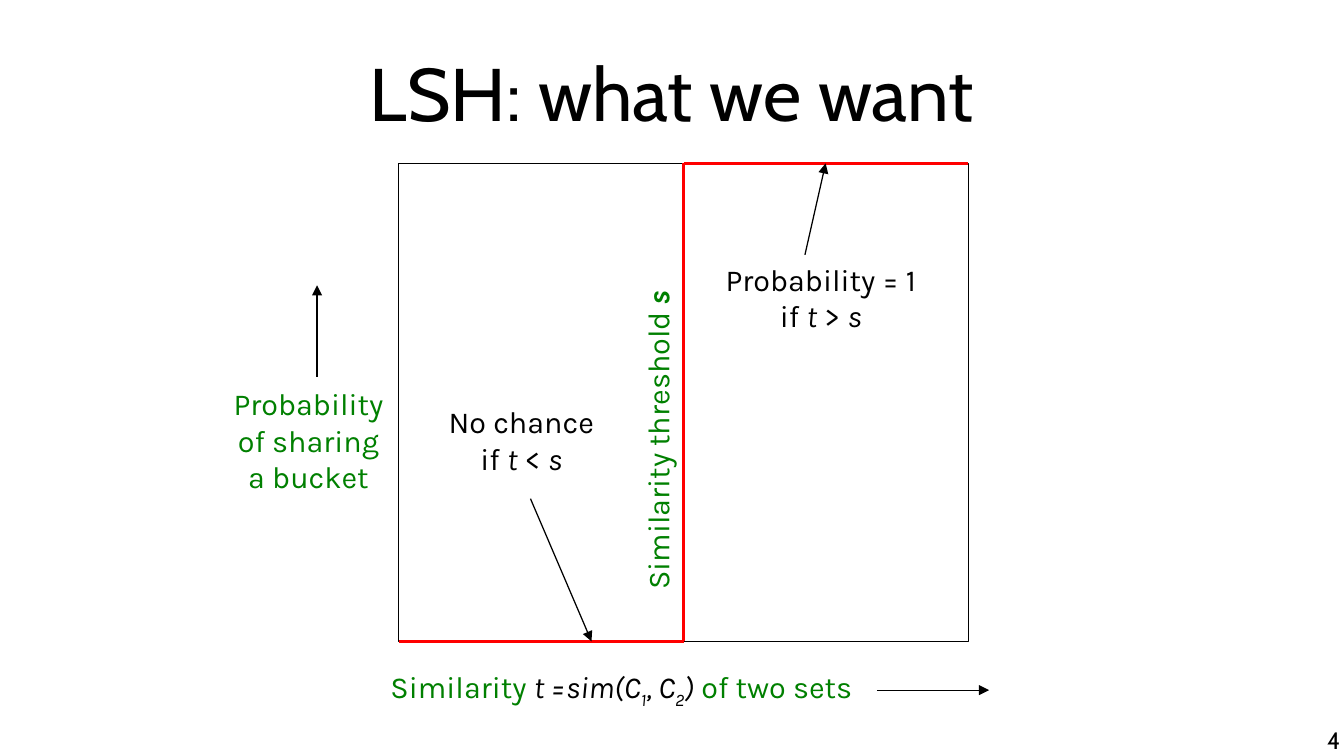
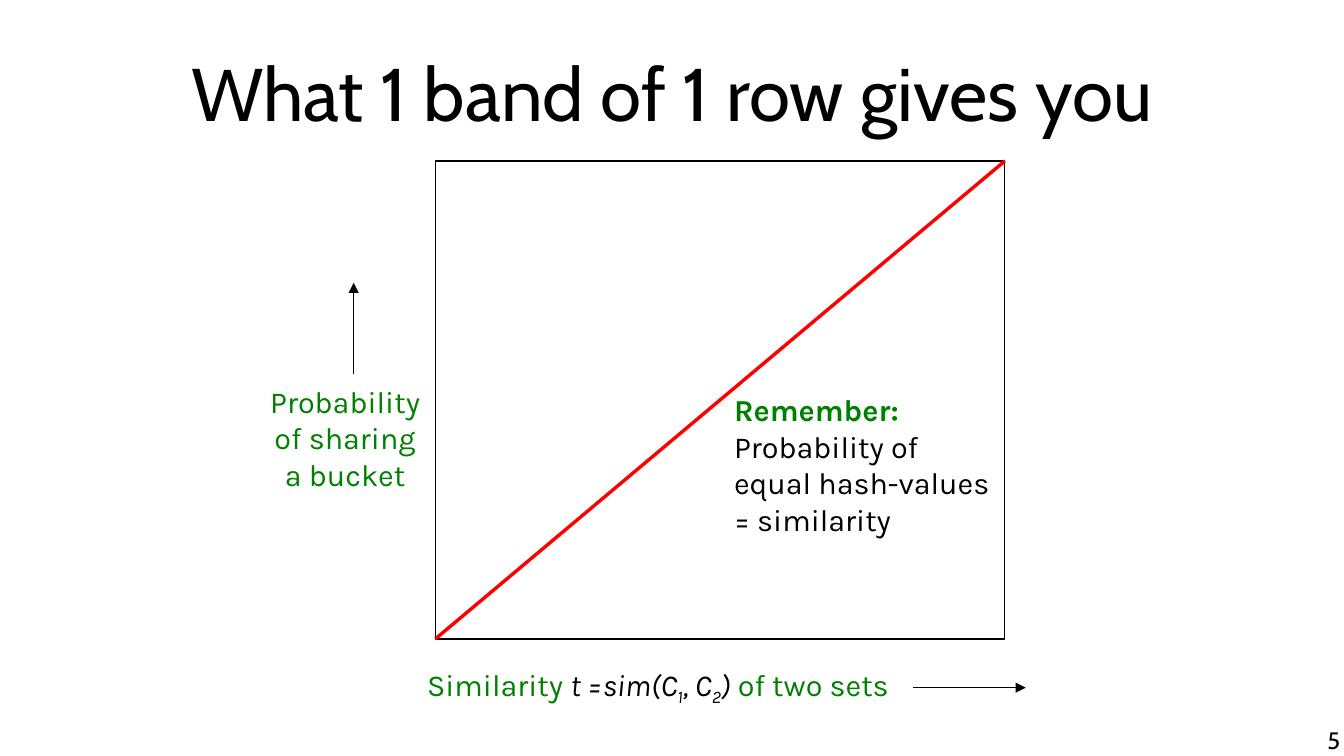
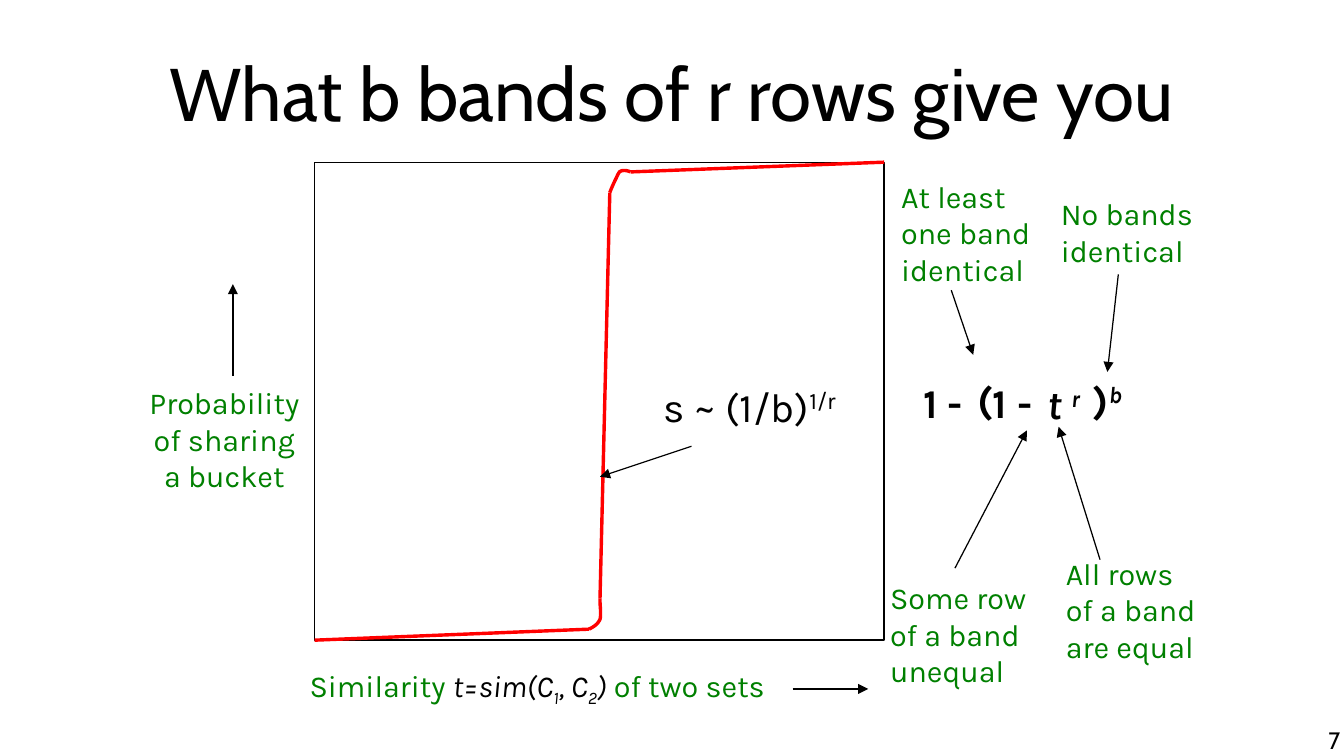
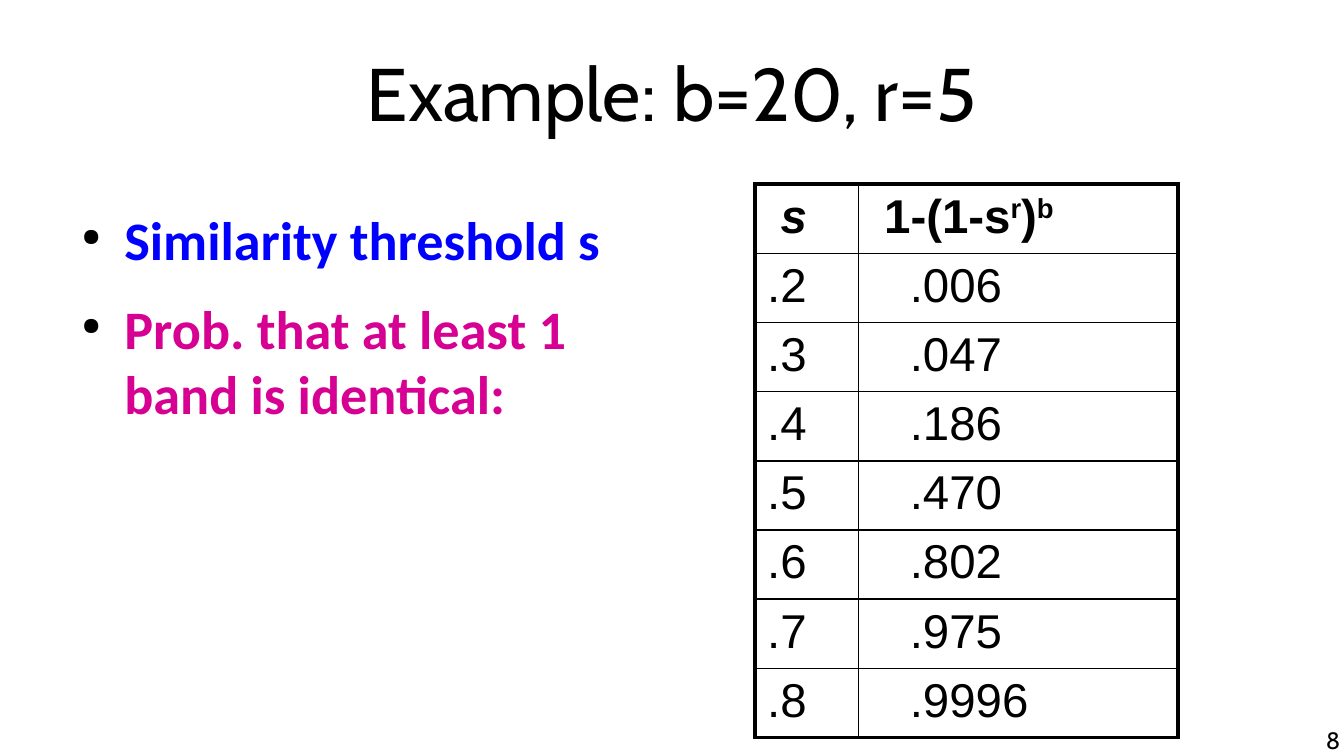
from dataclasses import dataclass
from typing import Optional, Sequence, Union

from lxml import etree
from pptx import Presentation
from pptx.dml.color import RGBColor
from pptx.enum.shapes import MSO_CONNECTOR as Link, MSO_SHAPE as Preset
from pptx.enum.text import MSO_ANCHOR as Anchor, MSO_AUTO_SIZE as AutoSize, PP_ALIGN as Align
from pptx.oxml.ns import qn
from pptx.util import Emu, Inches, Pt

# Shared style
COLORS = {
    "ink": "000000",
    "label": "008000",
    "curve": "FF0000",
    "threshold": "0000FF",
    "probability": "D60093",
}
TITLE_FONT, LABEL_FONT, BODY_FONT, TABLE_FONT = "Cabin", "Karla", "Calibri", "Arial"
THIN, THICK = 0.75, 2

# Grid: square cells of a tenth of an inch
COLUMNS, ROWS = 110.2, 62
PLOT_COLUMNS, PLOT_ROWS = 46.7, 39.2


def cells(count: float) -> Emu:
    return Inches(round(count, 2) / 10)


def rgb(color: str) -> RGBColor:
    return RGBColor.from_string(COLORS[color])


@dataclass(frozen=True)
class Run:
    text: str
    color: Optional[str] = None
    bold: Optional[bool] = None
    italic: Optional[bool] = None
    baseline: int = 0


Line = Union[str, Sequence[Run]]


@dataclass(frozen=True)
class Label:
    left: float
    top: float
    width: float
    height: float
    lines: Sequence[Line]
    color: str = "label"
    size: float = 18
    font: str = LABEL_FONT
    bold: Optional[bool] = None
    align: Align = Align.LEFT
    wrap: bool = False
    rotation: float = 0


@dataclass(frozen=True)
class Stroke:
    x1: float
    y1: float
    x2: float
    y2: float
    color: str = "ink"
    width: float = THIN
    arrow: bool = True


@dataclass(frozen=True)
class Plot:
    left: float
    top: float
    formula: str = "t =sim(C"
    arrow_length: float = 9.2

    @property
    def right(self) -> float:
        return self.left + PLOT_COLUMNS

    @property
    def bottom(self) -> float:
        return self.top + PLOT_ROWS


# Text and lines
def fill_paragraph(paragraph, line: Line, font: str, size: float, color: str,
                   bold: Optional[bool] = None) -> None:
    paragraph.font.name = font
    paragraph.font.size = Pt(size)
    paragraph.font.bold = bold
    paragraph.font.color.rgb = rgb(color)
    for part in [Run(line)] if isinstance(line, str) else line:
        run = paragraph.add_run()
        run.text = part.text
        run.font.bold = part.bold
        run.font.italic = part.italic
        if part.color:
            run.font.color.rgb = rgb(part.color)
        if part.baseline:
            run.font._element.set("baseline", str(part.baseline * 1000))


def add_frame(slide, left: float, top: float, width: float, height: float,
              margin: bool = True):
    box = slide.shapes.add_textbox(*map(cells, (left, top, width, height)))
    frame = box.text_frame
    frame.word_wrap = True
    if not margin:
        frame.margin_left = frame.margin_right = frame.margin_top = frame.margin_bottom = 0
    return box, frame


def add_label(slide, label: Label) -> None:
    box, frame = add_frame(slide, label.left, label.top, label.width, label.height)
    box.rotation = label.rotation
    frame.word_wrap = label.wrap
    frame.auto_size = AutoSize.SHAPE_TO_FIT_TEXT
    for index, line in enumerate(label.lines):
        paragraph = frame.add_paragraph() if index else frame.paragraphs[0]
        paragraph.alignment = label.align
        fill_paragraph(paragraph, line, label.font, label.size, label.color, label.bold)


def add_stroke(slide, stroke: Stroke):
    connector = slide.shapes.add_connector(
        Link.STRAIGHT, *map(cells, (stroke.x1, stroke.y1, stroke.x2, stroke.y2)))
    connector.line.color.rgb = rgb(stroke.color)
    connector.line.width = Pt(stroke.width)
    if stroke.arrow:
        etree.SubElement(connector.line._get_or_add_ln(), qn("a:tailEnd"), type="triangle")
    etree.SubElement(connector._element.spPr, qn("a:effectLst"))
    return connector


def curve_stroke(x1: float, y1: float, x2: float, y2: float) -> Stroke:
    return Stroke(x1, y1, x2, y2, "curve", THICK, False)


def add_bend(slide, *controls: tuple[float, float], steps: int = 8) -> None:
    """Draw joined cubic Bezier pieces: a start, then three points a piece."""
    points = []
    for first in range(0, len(controls) - 1, 3):
        piece = controls[first:first + 4]
        for step in range(1, steps + 1):
            t = step / steps
            weights = ((1 - t) ** 3, 3 * t * (1 - t) ** 2, 3 * t * t * (1 - t), t ** 3)
            points.append(tuple(
                cells(sum(w * point[axis] for w, point in zip(weights, piece)))
                for axis in (0, 1)))
    builder = slide.shapes.build_freeform(*map(cells, controls[0]))
    builder.add_line_segments(points, close=False)
    bend = builder.convert_to_shape()
    bend.shadow.inherit = False
    bend.fill.background()
    bend.line.color.rgb = rgb("curve")
    bend.line.width = Pt(THICK)


# Parts shared by slides
def add_slide(deck, title: str, number: int):
    slide = deck.slides.add_slide(deck.slide_layouts[6])
    _, heading = add_frame(slide, 5.5, 0.1, 99.2, 14.9, margin=False)
    heading.vertical_anchor = Anchor.MIDDLE
    _, footer = add_frame(slide, 84.2, 59.5, 25.7, 2.5, margin=False)
    for frame, text, size, align in ((heading, title, 44, Align.CENTER),
                                     (footer, str(number), 14, Align.RIGHT)):
        frame.paragraphs[0].alignment = align
        fill_paragraph(frame.paragraphs[0], text, TITLE_FONT, size, "ink")
    return slide


def add_plot(slide, plot: Plot):
    left, top = plot.left, plot.top
    area = slide.shapes.add_shape(
        Preset.RECTANGLE, *map(cells, (left, top, PLOT_COLUMNS, PLOT_ROWS)))
    area.shadow.inherit = False
    area.fill.background()
    area.line.color.rgb = rgb("ink")
    area.line.width = Pt(THIN)

    def math(text: str, baseline: int = 0) -> Run:
        return Run(text, "ink", italic=True, baseline=baseline)

    similarity = [Run("Similarity "), math(plot.formula), math("1", -25), math(", C"),
                  math("2", -25), math(")"), Run(" of two sets")]
    add_label(slide, Label(left - 5.5, top + 40.9, 47.5, 4.4, [similarity],
                           align=Align.CENTER, wrap=True))
    add_label(slide, Label(left - 14.7, top + 17.7, 14.6, 10,
                           ["Probability", "of sharing", "a bucket"], align=Align.CENTER))
    arrow_left, arrow_row = left + 39.2, top + 43.2
    add_stroke(slide, Stroke(arrow_left, arrow_row, arrow_left + plot.arrow_length, arrow_row))
    add_stroke(slide, Stroke(left - 6.7, top + 17.5, left - 6.7, top + 10))
    return area


# Slides
def build_ideal(deck) -> None:
    slide = add_slide(deck, "LSH: what we want", 4)
    plot = Plot(32.7, 13.4)
    area = add_plot(slide, plot)
    middle = plot.left + PLOT_COLUMNS / 2

    floor = add_stroke(slide, curve_stroke(plot.left, plot.bottom, middle, plot.bottom))
    floor.end_connect(area, 2)
    rise = add_stroke(slide, curve_stroke(middle, plot.bottom, middle, plot.top))
    rise.begin_connect(area, 2)
    rise.end_connect(area, 0)
    ceiling = add_stroke(slide, curve_stroke(middle, plot.top, plot.right, plot.top))
    ceiling.begin_connect(area, 0)

    t, s = Run("t", italic=True), Run("s", italic=True)
    add_label(slide, Label(
        40.6, 34.1, 26.6, 4,
        [[Run("Similarity threshold "), Run("s", bold=True, italic=True)]],
        align=Align.CENTER, rotation=270))
    add_label(slide, Label(35.6, 32.6, 14.3, 7,
                           ["No chance", [Run("if "), t, Run(" < "), s]],
                           "ink", align=Align.CENTER))
    add_label(slide, Label(57.7, 20.9, 19.2, 7,
                           [[Run("Probability = 1 if "), t, Run(" > "), s]],
                           "ink", align=Align.CENTER, wrap=True))
    add_stroke(slide, Stroke(43.5, 40.9, 48.5, plot.bottom))
    add_stroke(slide, Stroke(66, 20.9, 67.7, plot.top))


def build_single_band(deck) -> None:
    slide = add_slide(deck, "What 1 band of 1 row gives you", 5)
    plot = Plot(35.7, 13.2)
    add_plot(slide, plot)
    add_stroke(slide, curve_stroke(plot.left, plot.bottom, plot.right, plot.top))
    add_label(slide, Label(
        59.2, 31.6, 23.1, 13,
        [[Run("Remember:", "label", bold=True)],
         "Probability of", "equal hash-values", "= similarity"], "ink"))


def build_many_bands(deck) -> None:
    slide = add_slide(deck, "What b bands of r rows give you", 7)
    plot = Plot(25.8, 13.3, "t=sim(C", 6.2)
    add_plot(slide, plot)

    # S-curve
    foot, rise_start, rise_end, shoulder = (48.3, 51.6), (49.2, 49.1), (50, 15.8), (51.7, 14.1)
    add_stroke(slide, curve_stroke(plot.left, plot.bottom, *foot))
    add_bend(slide, foot, (48.7, 51.4), (49, 51.2), (49.2, 50.8),
             (49.3, 50.4), (49.2, 49.8), rise_start)
    add_stroke(slide, curve_stroke(*rise_start, *rise_end))
    add_bend(slide, rise_end, (50.3, 15.1), (50.6, 14.4), (50.8, 14.1),
             (51.1, 13.9), (51.4, 14), shoulder)
    add_stroke(slide, curve_stroke(*shoulder, plot.right, plot.top))

    # Formula terms and the threshold estimate
    terms = [
        (74.7, 30.5, 5.8, ["1 -"]),
        (79.2, 30.3, 3.1, ["("]),
        (80.4, 30.5, 5.8, ["1 -"]),
        (84.9, 30.6, 5.5, [[Run("t ", italic=True), Run("r", italic=True, baseline=30)]]),
        (88.6, 30.3, 4.8, [[Run(")"), Run("b", italic=True, baseline=30)]]),
    ]
    for left, top, width, lines in terms:
        add_label(slide, Label(left, top, width, 5, lines, "ink", 24, bold=True))
    add_label(slide, Label(53.4, 30.8, 17.5, 5,
                           [[Run("s ~ (1/b)"), Run("1/r", baseline=30)]], "ink", 24))
    add_stroke(slide, Stroke(56.7, 36.6, 49.2, 39.1))

    # Explanations, each with its arrow to a term
    explanations = [
        (Label(72.9, 14.1, 13.1, 10, ["At least", "one band", "identical"]),
         Stroke(78, 23.8, 79.8, 29.1)),
        (Label(86, 15.5, 13.3, 7, ["No bands", "identical"]),
         Stroke(91.7, 22.5, 90.8, 30.5)),
        (Label(72, 47, 13.7, 10, ["Some row", "of a band", "unequal"]),
         Stroke(78.3, 46.6, 84.2, 35.3)),
        (Label(86.4, 45, 13.1, 10, ["All rows", "of a band", "are equal"]),
         Stroke(90.2, 45.9, 86.8, 35)),
    ]
    for label, pointer in explanations:
        add_label(slide, label)
        add_stroke(slide, pointer)


def add_bullet(paragraph) -> None:
    properties = paragraph._p.get_or_add_pPr()
    properties.set("marL", str(Inches(0.47)))
    properties.set("indent", str(Inches(-0.35)))
    bullet_color = etree.SubElement(properties, qn("a:buClr"))
    etree.SubElement(bullet_color, qn("a:srgbClr"), val=COLORS["ink"])
    etree.SubElement(properties, qn("a:buSzPct"), val="45000")
    etree.SubElement(properties, qn("a:buChar"), char="●")


def set_borders(cell, outer_sides: set[str]) -> None:
    properties = cell._tc.get_or_add_tcPr()
    for side in "LRTB":
        width = Pt(2.21 if side in outer_sides else 0.96)
        border = etree.SubElement(properties, qn(f"a:ln{side}"), w=str(width))
        fill = etree.SubElement(border, qn("a:solidFill"))
        etree.SubElement(fill, qn("a:srgbClr"), val=COLORS["ink"])


def build_example(deck) -> None:
    slide = add_slide(deck, "Example: b=20, r=5", 8)

    # Bullets
    _, points = add_frame(slide, 5.5, 16.9, 47, 36, margin=False)
    bullets = [("Similarity threshold s", "threshold"),
               ("Prob. that at least 1 band is identical:", "probability")]
    for index, (text, color) in enumerate(bullets):
        paragraph = points.add_paragraph() if index else points.paragraphs[0]
        if index:
            paragraph.space_before = Pt(14.2)
        add_bullet(paragraph)
        fill_paragraph(paragraph, text, BODY_FONT, 32, color, True)

    # Probability table
    header = ([Run("s", italic=True)],
              [Run("1-(1-s"), Run("r", baseline=30), Run(")"), Run("b", baseline=30)])
    rows = [header, (".2", ".006"), (".3", ".047"), (".4", ".186"), (".5", ".470"),
            (".6", ".802"), (".7", ".975"), (".8", ".9996")]
    widths, height = (8.5, 26.2), 45
    table = slide.shapes.add_table(
        len(rows), len(widths), *map(cells, (61.9, 15.1, sum(widths), height))).table
    table.first_row = table.horz_banding = False
    for column, width in zip(table.columns, widths):
        column.width = cells(width)
    for r, row in enumerate(rows):
        table.rows[r].height = cells(height / len(rows))
        for c, line in enumerate(row):
            cell = table.cell(r, c)
            outer_sides = {"R" if c else "L"}
            if r == 0:
                outer_sides.add("T")
            if r == len(rows) - 1:
                outer_sides.add("B")
            set_borders(cell, outer_sides)
            cell.fill.background()
            paragraph = cell.text_frame.paragraphs[0]
            indent = 1.1 if r == 0 else 3.2 * c
            paragraph._p.get_or_add_pPr().set("marL", str(cells(indent)))
            fill_paragraph(paragraph, line, TABLE_FONT, 28, "ink", r == 0)


def main() -> None:
    deck = Presentation()
    deck.slide_width, deck.slide_height = cells(COLUMNS), cells(ROWS)
    for build in (build_ideal, build_single_band, build_many_bands, build_example):
        build(deck)
    deck.save("out.pptx")


if __name__ == "__main__":
    main()
